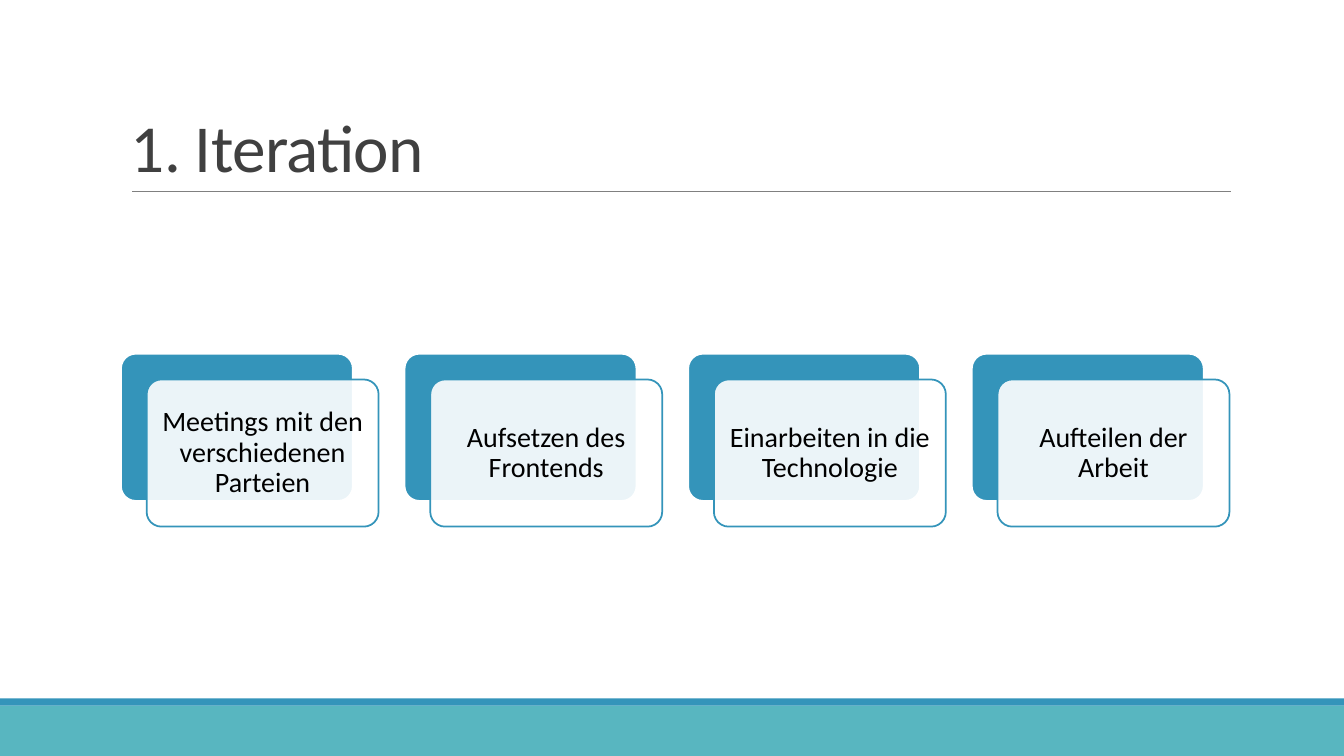
import pptx
import pptx.util
import pptx.dml.color
import pptx.enum.shapes
import pptx.enum.text
import pptx.oxml.ns
import lxml.etree

Inches = pptx.util.Inches
Pt = pptx.util.Pt
RGB = pptx.dml.color.RGBColor.from_string
SHAPE = pptx.enum.shapes.MSO_SHAPE
ANCHOR = pptx.enum.text.MSO_ANCHOR
qn = pptx.oxml.ns.qn

COLORS = {
    "teal": "58B6C0",
    "blue": "3494BA",
    "white": "FFFFFF",
    "rule": "808080",
    "title": "404040",
    "text": "000000",
}
STEPS = [
    "Meetings mit den verschiedenen Parteien",
    "Aufsetzen des Frontends",
    "Einarbeiten in die Technologie",
    "Aufteilen der Arbeit",
]
LEFT, TOP, PITCH, OFFSET = 1.2, 3.51, 2.813, 0.255
CARD_W, CARD_H = 2.3, 1.46

prs = pptx.Presentation()
prs.slide_width = Inches(13.33)
prs.slide_height = Inches(7.5)
s = prs.slides.add_slide(prs.slide_layouts[6])


def add_box(kind, x, y, w, h, fill, line=None):
    sp = s.shapes.add_shape(kind, Inches(x), Inches(y), Inches(w), Inches(h))
    sp.shadow.inherit = False
    sp.fill.solid()
    sp.fill.fore_color.rgb = RGB(COLORS[fill])
    if line:
        sp.adjustments[0] = 0.1
        sp.line.color.rgb = RGB(COLORS[line])
        sp.line.width = Pt(1.25)
    else:
        sp.line.fill.background()
    return sp


def style_text(p, size, color, spacing):
    p.line_spacing = spacing
    r = p.runs[0]
    r.font.size = Pt(size)
    r.font.name = "Calibri"
    r.font.color.rgb = RGB(COLORS[color])
    return r


add_box(SHAPE.RECTANGLE, 0, 7, 13.33, 0.5, "teal")
add_box(SHAPE.RECTANGLE, 0, 6.93, 13.33, 0.07, "blue")

rule = s.shapes.add_connector(pptx.enum.shapes.MSO_CONNECTOR.STRAIGHT,
                              Inches(1.31), Inches(1.9), Inches(12.21), Inches(1.9))
rule.line.color.rgb = RGB(COLORS["rule"])
rule.line.width = Pt(0.5)
lxml.etree.SubElement(rule._element.spPr, qn("a:effectLst"))

title = s.shapes.add_textbox(Inches(1.2), Inches(0.31), Inches(11), Inches(1.59))
tf = title.text_frame
tf.word_wrap = True
tf.vertical_anchor = ANCHOR.BOTTOM
tf.text = "1. Iteration"
r = style_text(tf.paragraphs[0], 48, "title", 0.85)
r.font._element.set("spc", "-50")

for i, step in enumerate(STEPS):
    x = LEFT + i * PITCH
    add_box(SHAPE.ROUNDED_RECTANGLE, x, TOP, CARD_W, CARD_H, "blue", "white")
    card = add_box(SHAPE.ROUNDED_RECTANGLE, x + OFFSET, TOP + OFFSET,
                   CARD_W, CARD_H, "white", "blue")
    color = card._element.spPr.find(qn("a:solidFill")).find(qn("a:srgbClr"))
    lxml.etree.SubElement(color, qn("a:alpha")).set("val", "90000")

    tf = card.text_frame
    tf.word_wrap = True
    tf.vertical_anchor = ANCHOR.MIDDLE
    tf.margin_left = tf.margin_right = tf.margin_top = tf.margin_bottom = Inches(0.08)
    tf.text = step
    p = tf.paragraphs[0]
    p.alignment = pptx.enum.text.PP_ALIGN.CENTER
    style_text(p, 20, "text", 0.9)

prs.save("out.pptx")
